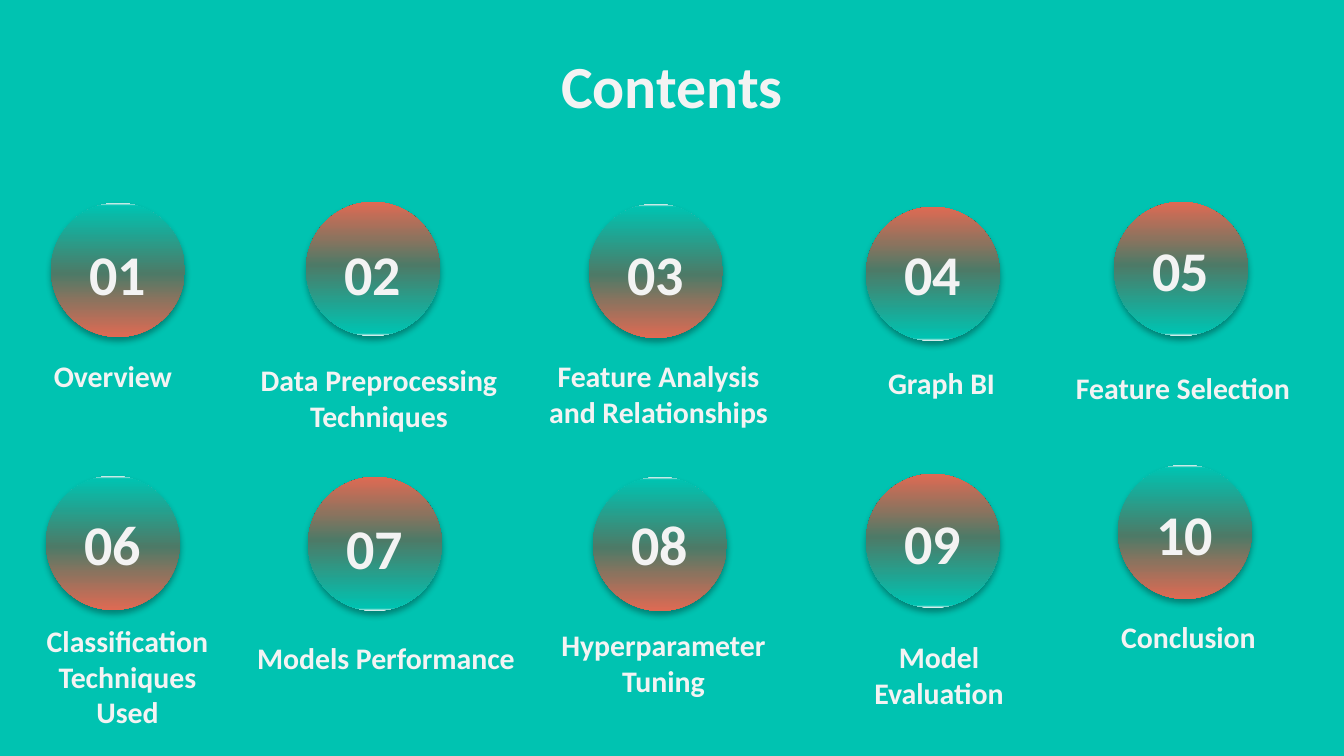
from dataclasses import dataclass

from lxml import etree
from pptx import Presentation
from pptx.dml.color import RGBColor
from pptx.enum.shapes import MSO_SHAPE
from pptx.enum.text import MSO_ANCHOR, PP_ALIGN
from pptx.oxml.ns import nsdecls
from pptx.util import Emu, Pt

OVAL = MSO_SHAPE.OVAL
CENTER = PP_ALIGN.CENTER
TOP = MSO_ANCHOR.TOP

EMU_PER_PX = 914400 / 134.4
WIDTH, HEIGHT = 1344, 756
INSET = 13.44
CIRCLE = 134
NUMBER_DX, NUMBER_W, NUMBER_H = 11, 112, 114
LABEL_H = 52

FONT = "Calibri"
TEAL, LIGHT = "00C3B1", "F3F3F3"
STOPS = [(0, "006258"), (0, LIGHT), (2, TEAL), (53, "4D7A67"),
         (73, "8D735E"), (100, "DF6A53"), (100, "99311C")]


@dataclass
class Topic:
    label: str
    circle_x: int
    circle_y: int
    number_y: int
    label_x: int
    label_y: int
    label_w: int
    flipped: bool = False


TOPICS = [
    Topic("Overview", 51, 203, 226, 40, 344, 146),
    Topic("Data Preprocessing Techniques", 306, 202, 226, 246, 348, 266, True),
    Topic("Feature Analysis and Relationships", 589, 204, 226, 528, 344, 261),
    Topic("Graph BI", 866, 207, 226, 872, 351, 139, True),
    Topic("Feature Selection", 1114, 202, 222, 1061, 356, 244, True),
    Topic("Classification Techniques Used", 46, 476, 496, 11, 609, 233),
    Topic("Models Performance", 308, 477, 500, 243, 626, 286, True),
    Topic("Hyperparameter Tuning", 593, 477, 496, 547, 613, 233),
    Topic("Model Evaluation", 866, 474, 495, 855, 625, 168, True),
    Topic("Conclusion", 1118, 465, 486, 1058, 605, 261),
]


def px(value: float) -> Emu:
    return Emu(round(value * EMU_PER_PX))


def color(value: str) -> RGBColor:
    return RGBColor.from_string(value)


def add_text(slide, text: str, x: int, y: int, w: int, h: int, size: int) -> None:
    sp = slide.shapes.add_textbox(px(x), px(y), px(w), px(h))
    tf = sp.text_frame
    tf.word_wrap = True
    tf.vertical_anchor = TOP
    tf.margin_left = tf.margin_right = px(INSET)
    tf.margin_top = tf.margin_bottom = px(INSET)
    tf.text = text
    p = tf.paragraphs[0]
    p.alignment = CENTER
    font = p.runs[0].font
    font.name, font.size, font.bold = FONT, Pt(size), True
    font.color.rgb = color(LIGHT)


def add_circle(slide, x: int, y: int, flipped: bool) -> None:
    sp = slide.shapes.add_shape(OVAL, px(x), px(y), px(CIRCLE), px(CIRCLE))
    sp.line.fill.background()
    props = sp.element.spPr
    if flipped:
        props.xfrm.set("flipV", "1")

    # Vertical gradient, placed before the outline
    stops = "".join(f'<a:gs pos="{pos * 1000}"><a:srgbClr val="{rgb}"/></a:gs>'
                    for pos, rgb in STOPS)
    gradient = etree.fromstring(
        f'<a:gradFill {nsdecls("a")} rotWithShape="1"><a:gsLst>{stops}</a:gsLst>'
        '<a:lin ang="5400000" scaled="0"/></a:gradFill>')
    props.ln.addprevious(gradient)

    # Soft shadow below, placed after the outline
    shadow = etree.fromstring(
        f'<a:effectLst {nsdecls("a")}><a:outerShdw blurRad="{Pt(3.5)}" '
        f'dist="{Pt(2.2)}" dir="5400000" algn="ctr" rotWithShape="0">'
        '<a:srgbClr val="000000"><a:alpha val="32000"/></a:srgbClr>'
        '</a:outerShdw></a:effectLst>')
    props.ln.addnext(shadow)


def add_topic(slide, number: int, topic: Topic) -> None:
    add_circle(slide, topic.circle_x, topic.circle_y, topic.flipped)
    add_text(slide, f"{number:02d}", topic.circle_x + NUMBER_DX, topic.number_y,
             NUMBER_W, NUMBER_H, 30)
    add_text(slide, topic.label, topic.label_x, topic.label_y,
             topic.label_w, LABEL_H, 16)


# Slide and background
prs = Presentation()
prs.slide_width, prs.slide_height = px(WIDTH), px(HEIGHT)
slide = prs.slides.add_slide(prs.slide_layouts[6])
slide.background.fill.solid()
slide.background.fill.fore_color.rgb = color(TEAL)

# Title
add_text(slide, "Contents", 0, 35, WIDTH, 85, 32)

# Numbered topics
for number, topic in enumerate(TOPICS, start=1):
    add_topic(slide, number, topic)

prs.save("out.pptx")
